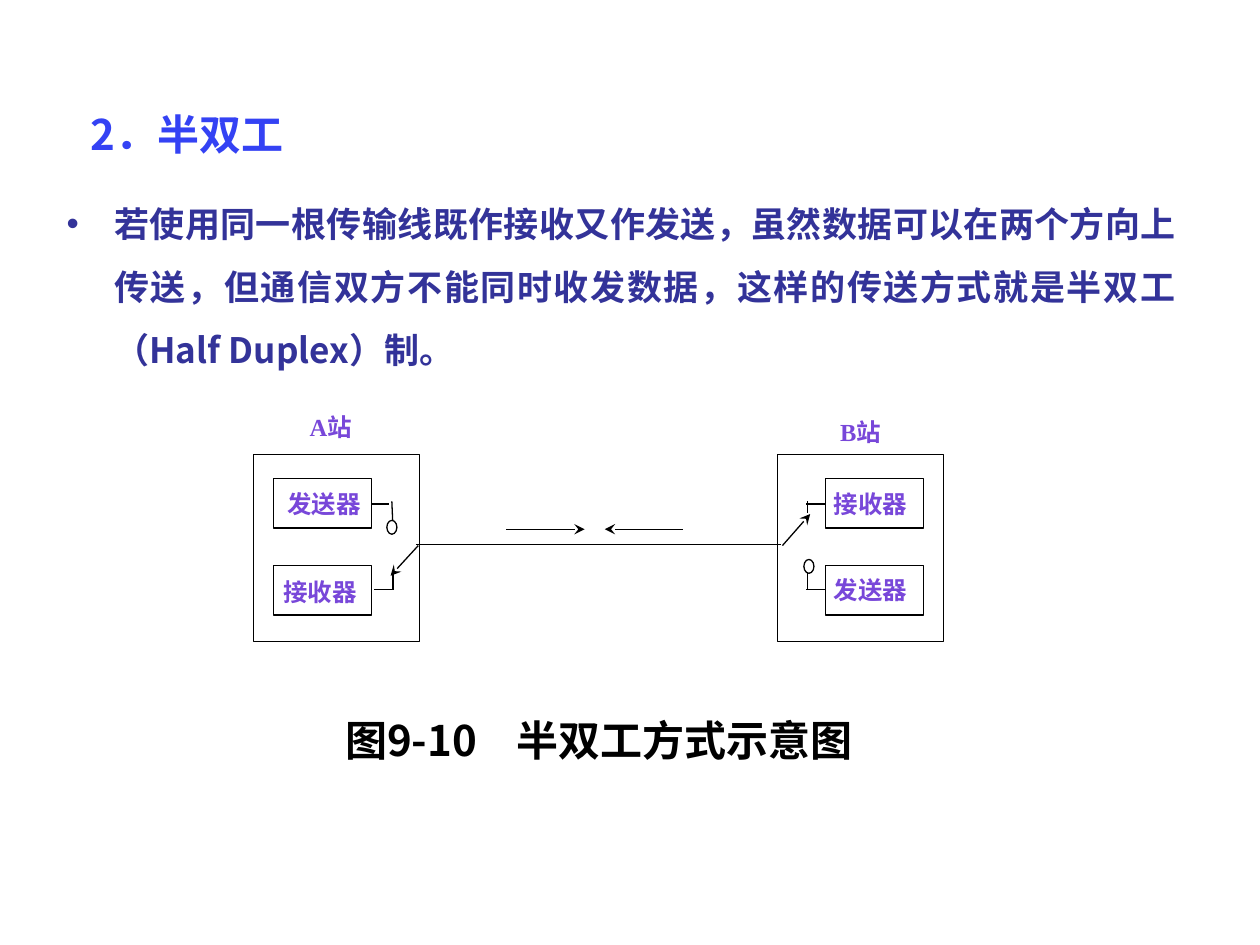
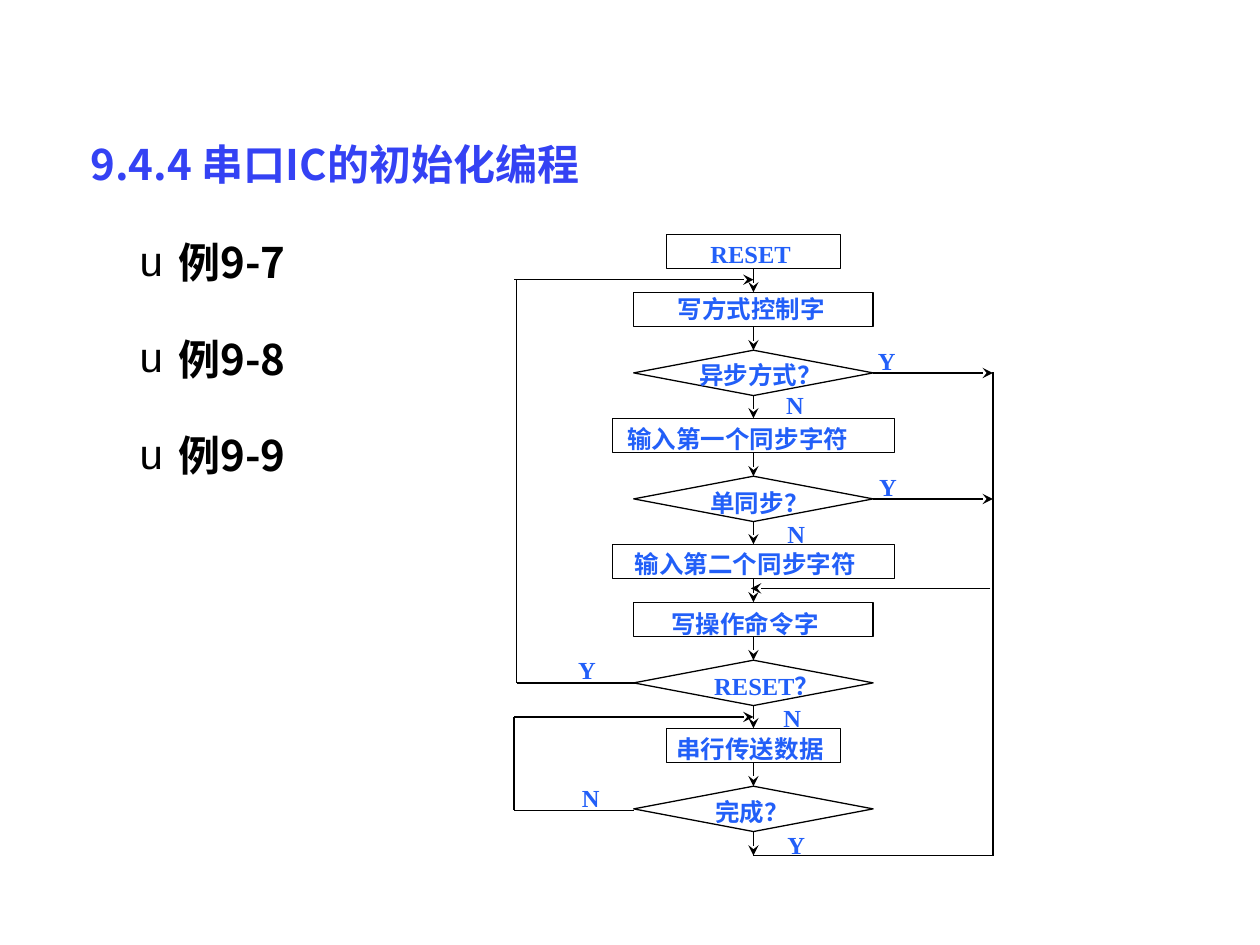
from pptx import Presentation
from pptx import util as u
from pptx.dml.color import RGBColor
from pptx.enum import shapes, text
from pptx.oxml.ns import qn
from lxml import etree

SANS, SERIF = "Noto Sans CJK SC", "Times New Roman"
THEME = {
    "title": dict(size=24, name=SANS, tone="3442F4", lead=29),
    "body": dict(size=20, name=SANS, tone="333399", lead=36),
    "item": dict(size=24, name=SANS, tone="000000", lead=49),
    "cap": dict(size=24, name=SANS, tone="000000", lead=52),
    "part": dict(size=14, name=SERIF, tone="7847D9", lead=30),
    "step": dict(size=14, name=SERIF, tone="225FF8", lead=20.2),
    "ink": "000000", "paper": "FFFFFF", "rule": 0.75,
}
RECT = shapes.MSO_SHAPE.RECTANGLE
DECIDE = shapes.MSO_SHAPE.FLOWCHART_DECISION
OVAL = shapes.MSO_SHAPE.OVAL
PAD = 0.1

DUPLEX = {
    "title": ("2．半双工", 0.62, 0.81),
    "body": "若使用同一根传输线既作接收又作发送，虽然数据可以在两个方向上传送，"
            "但通信双方不能同时收发数据，这样的传送方式就是半双工（Half Duplex）制。",
    "cap": "图9-10\t半双工方式示意图",
    "sites": [
        (2.01, 2.17, [("A站", 2.46, 3.04), ("发送器", 2.28, 3.65), ("接收器", 2.25, 4.35)]),
        (6.17, 6.55, [("B站", 6.67, 3.08), ("接收器", 6.62, 3.65), ("发送器", 6.62, 4.33)]),
    ],
    "wires": [
        (2.95, 4, 3.09, 4), (2.97, 4.68, 3.11, 4.68),
        (6.4, 4, 6.55, 4), (6.4, 4.68, 6.55, 4.68),
        (3.3, 4.32, 6.2, 4.32), (3.11, 3.98, 3.12, 4.21), (6.41, 3.98, 6.41, 4.07),
        (3.12, 4.55, 3.12, 4.68), (6.41, 4.55, 6.41, 4.68),
    ],
    "arrows": [
        (4.02, 4.2, 4.64, 4.2), (5.42, 4.2, 4.8, 4.2),
        (6.21, 4.33, 6.43, 4.08), (3.32, 4.33, 3.1, 4.57),
    ],
    "knobs": [(3.07, 4.13), (6.38, 4.44)],
}

FLOW = {
    "title": ("9.4.4 串口IC的初始化编程", 0.62, 1.05),
    "items": ["例9-7", "例9-8", "例9-9"],
    "mid": 5.98, "top": 1.86, "end": 6.79,
    "pitch": {RECT: 0.46, DECIDE: 0.54},
    "tall": {RECT: 0.27, DECIDE: 0.36},
    "steps": [
        ("RESET", RECT, 1.38, 5.64, -0.06),
        ("写方式控制字", RECT, 1.9, 5.38, -0.08),
        ("异步方式？", DECIDE, 1.9, 5.55, -0.02),
        ("输入第一个同步字符", RECT, 2.24, 4.98, -0.05),
        ("单同步？", DECIDE, 1.9, 5.64, 0),
        ("输入第二个同步字符", RECT, 2.24, 5.04, -0.06),
        ("写操作命令字", RECT, 1.9, 5.33, -0.04),
        ("RESET？", DECIDE, 1.9, 5.67, -0.01),
        ("串行传送数据", RECT, 1.38, 5.37, -0.05),
        ("完成？", DECIDE, 1.9, 5.68, -0.01),
    ],
    "signs": [
        ("N", 6.24, 3), ("N", 6.25, 4.02), ("N", 6.22, 5.48), ("N", 4.62, 6.12),
        ("Y", 4.59, 5.1), ("Y", 6.25, 6.49), ("Y", 6.98, 3.65), ("Y", 6.97, 2.65),
    ],
    "wires": [
        (5.98, 6.79, 7.88, 6.79), (7.88, 6.79, 7.88, 2.95),
        (4.08, 6.43, 5.03, 6.43), (4.08, 6.43, 4.08, 5.69),
        (4.1, 5.42, 5.05, 5.42), (4.1, 5.42, 4.1, 2.22),
    ],
    "arrows": [
        (6.93, 2.96, 7.88, 2.96), (6.93, 3.96, 7.88, 3.96), (7.86, 4.67, 5.96, 4.67),
        (4.08, 5.69, 5.98, 5.69), (4.08, 2.22, 5.98, 2.22),
    ],
}


def inch(*vals):
    return [u.Inches(v) for v in vals]


def tone(code):
    return RGBColor.from_string(code)


def assign(obj, **vals):
    for key, val in vals.items():
        setattr(obj, key, val)


def sub(node, tag, **vals):
    return etree.SubElement(node, qn(tag), vals)


def write(slide, lines, kind, x, y, w, h, wrap=False, align=text.PP_ALIGN.LEFT,
          mark=None, hang=None, stop=None, gap=0):
    look = THEME[kind]
    frame = slide.shapes.add_textbox(*inch(x - PAD, y, w, h)).text_frame
    frame.word_wrap = wrap
    for i, line in enumerate(lines):
        para = frame.paragraphs[0] if i == 0 else frame.add_paragraph()
        assign(para, alignment=align, line_spacing=u.Pt(look["lead"]))
        if i:
            para.space_before = u.Pt(gap)
        props = para._p.get_or_add_pPr()
        if mark:
            left, back = inch(*hang)
            props.set("marL", str(left))
            props.set("indent", str(back))
            sub(sub(props, "a:buClr"), "a:srgbClr", val=look["tone"])
            sub(props, "a:buFont", typeface="Arial")
            sub(props, "a:buChar", char=mark)
        if stop:
            sub(sub(props, "a:tabLst"), "a:tab", pos=str(u.Inches(stop)), algn="l")
        run = para.add_run()
        run.text = line
        assign(run.font, size=u.Pt(look["size"]), bold=True, name=look["name"])
        run.font.color.rgb = tone(look["tone"])
        sub(run._r.get_or_add_rPr(), "a:ea", typeface=SANS)


def pen(line):
    line.color.rgb = tone(THEME["ink"])
    line.width = u.Pt(THEME["rule"])


def box(slide, form, x, y, w, h, solid=True):
    shape = slide.shapes.add_shape(form, *inch(x, y, w, h))
    shape.shadow.inherit = False
    if solid:
        shape.fill.solid()
        shape.fill.fore_color.rgb = tone(THEME["paper"])
    else:
        shape.fill.background()
    pen(shape.line)


def wire(slide, ends, tip=False):
    link = slide.shapes.add_connector(shapes.MSO_CONNECTOR.STRAIGHT, *inch(*ends))
    pen(link.line)
    if tip:
        sub(link.line._get_or_add_ln(), "a:tailEnd", type="stealth")
    sub(link._element.spPr, "a:effectLst")


def links(slide, data):
    for key in ("wires", "arrows"):
        for ends in data[key]:
            wire(slide, ends, key == "arrows")


def title(slide, data):
    words, x, y = data["title"]
    write(slide, [words], "title", x + PAD, y, 4.5, 0.5)


def duplex(slide, data):
    write(slide, [data["body"]], "body", 0.43 + PAD, 1.39, 9, 1.65, wrap=True,
          align=text.PP_ALIGN.JUSTIFY, mark="•", hang=(0.38, -0.38))
    for left, inner, names in data["sites"]:
        box(slide, RECT, left, 3.61, 1.32, 1.48)
        for y in (3.8, 4.49):
            box(slide, RECT, inner, y, 0.78, 0.39)
        for name, x, y in names:
            write(slide, [name], "part", x, y, 1.1, 0.74)
    links(slide, data)
    for x, y in data["knobs"]:
        box(slide, OVAL, x, y, 0.08, 0.11)
    write(slide, [data["cap"]], "cap", 2.74, 5.3, 4.44, 0.74, stop=1.36)
    title(slide, data)


def flow(slide, data):
    write(slide, data["items"], "item", 0.51 + PAD, 1.55, 2.62, 2.4, wrap=True,
          mark="u", hang=(0.81, -0.31), gap=6)
    y, mid = data["top"], data["mid"]
    last = len(data["steps"]) - 1
    for i, (name, form, w, x, dip) in enumerate(data["steps"]):
        foot = y + data["tall"][form]
        after = data["end"] if i == last else y + data["pitch"][form]
        box(slide, form, mid - w / 2, y, w, foot - y, solid=False)
        wire(slide, (mid, foot, mid, after), True)
        write(slide, [name], "step", x, y + dip, 2.3, 0.42)
        y = after
    links(slide, data)
    for sign, x, y in data["signs"]:
        write(slide, [sign], "step", x, y, 0.4, 0.42)
    title(slide, data)


def main():
    deck = Presentation()
    deck.slide_width, deck.slide_height = inch(10, 7.5)
    for draw, data in ((duplex, DUPLEX), (flow, FLOW)):
        draw(deck.slides.add_slide(deck.slide_layouts[6]), data)
    deck.save("out.pptx")


if __name__ == "__main__":
    main()
